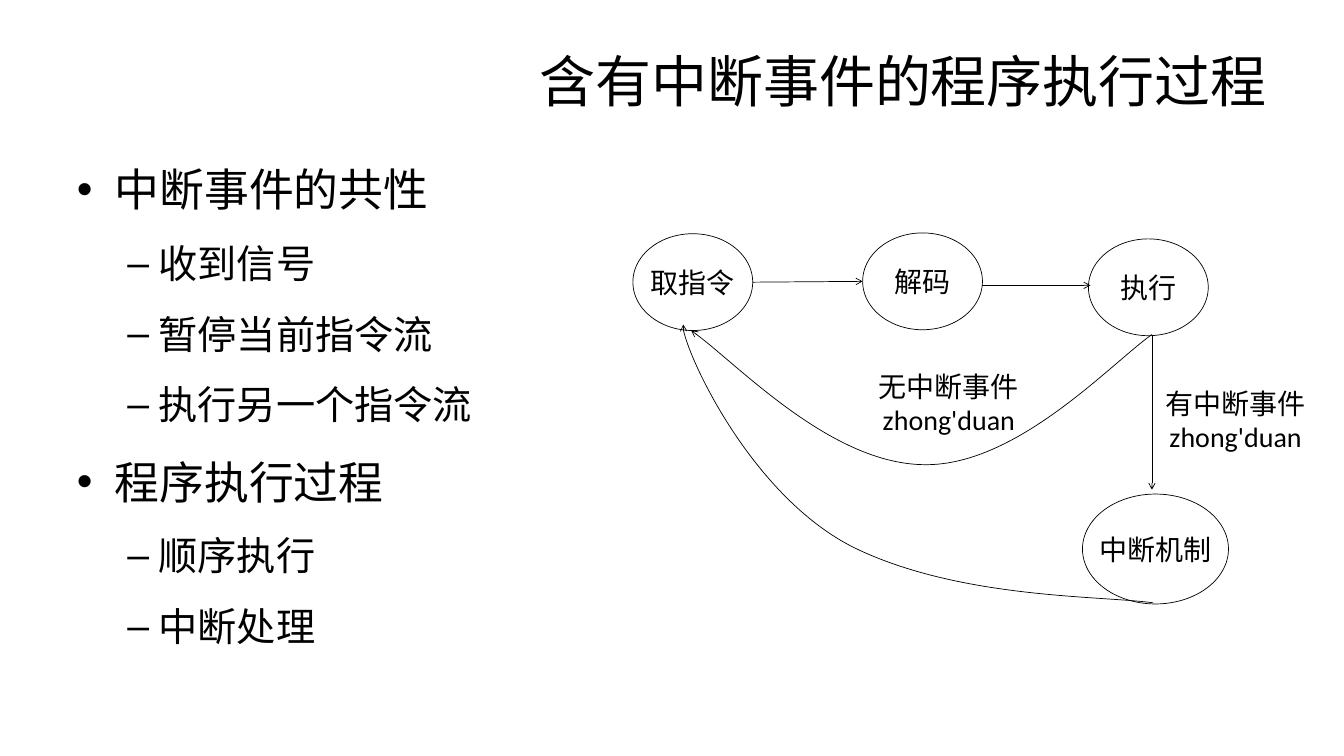
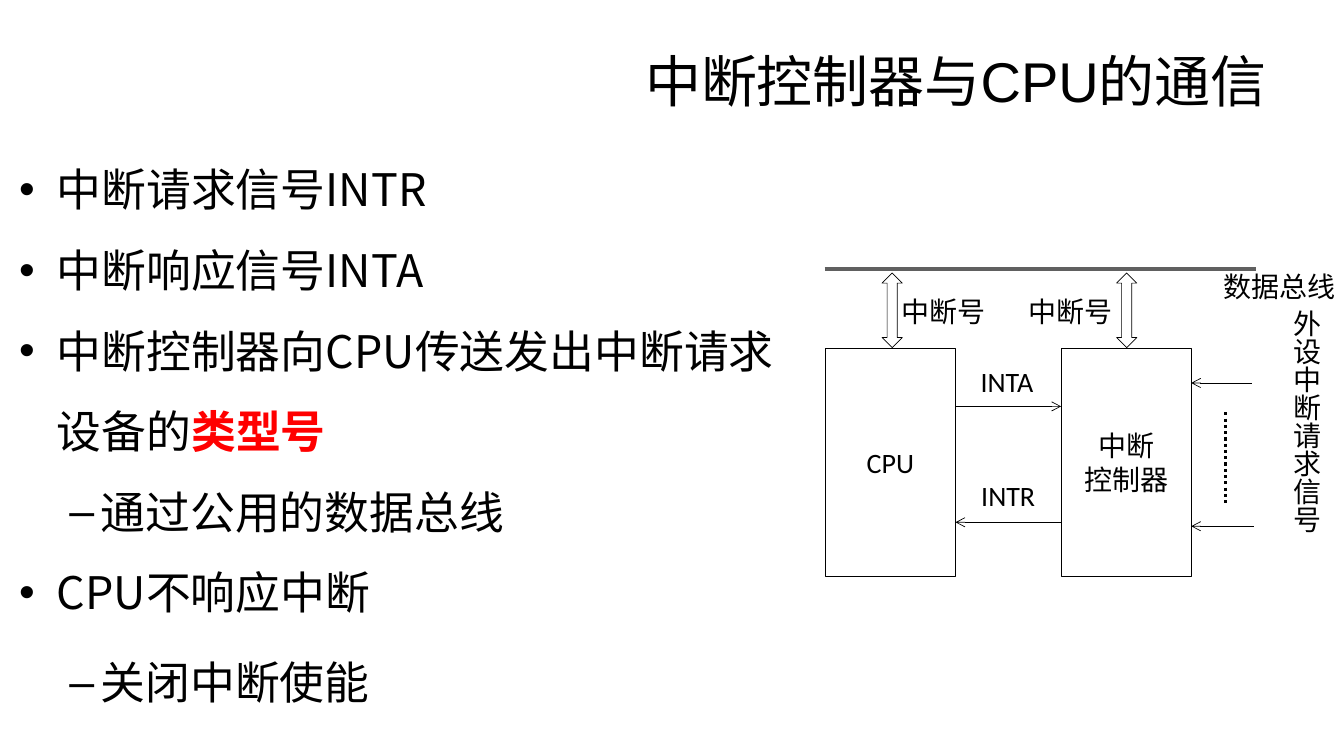
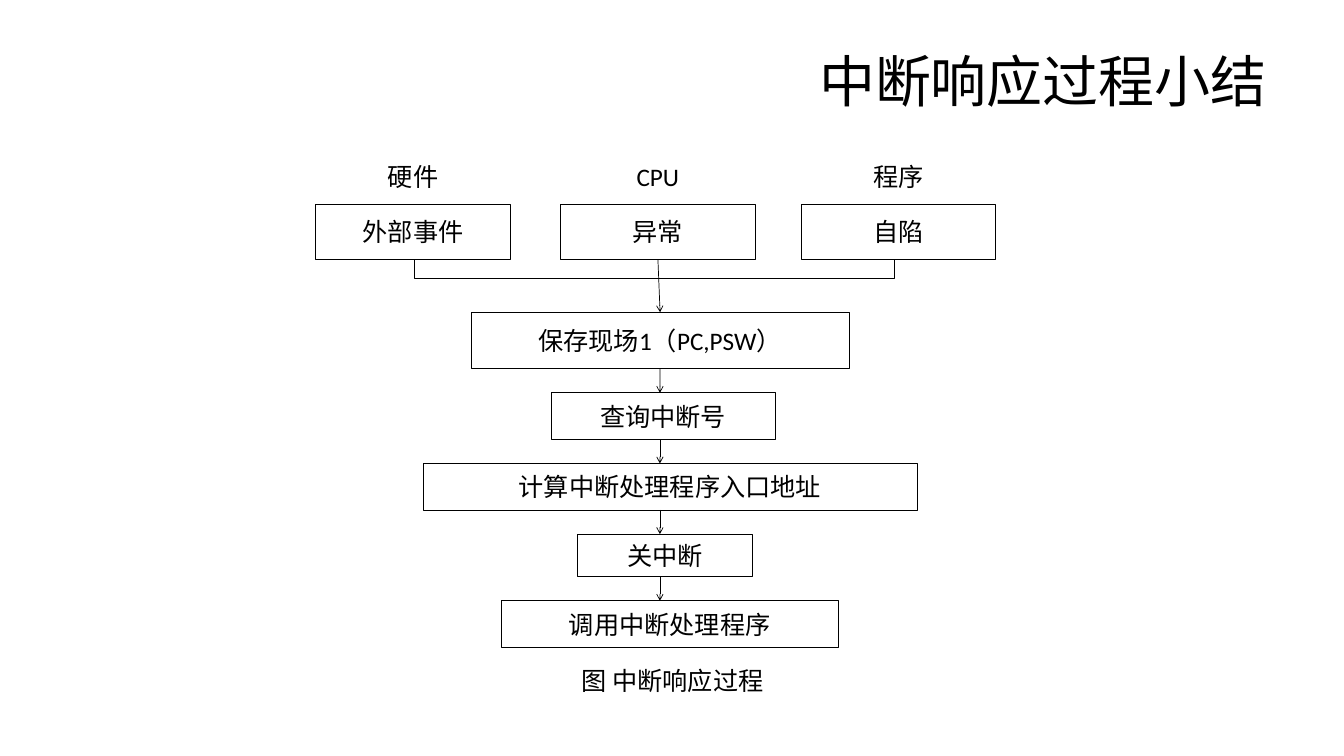
"""Build three slides on how a CPU handles interrupts."""
import lxml.etree
import pptx
import pptx.dml.color
import pptx.enum.dml
import pptx.enum.shapes
import pptx.enum.text
import pptx.oxml.ns
import pptx.util

Cm, Pt, qn = pptx.util.Cm, pptx.util.Pt, pptx.oxml.ns.qn
ALIGN = pptx.enum.text.PP_ALIGN
ANCHOR = pptx.enum.text.MSO_ANCHOR
SHAPE = pptx.enum.shapes.MSO_SHAPE
STRAIGHT = pptx.enum.shapes.MSO_CONNECTOR.STRAIGHT
DOTTED = pptx.enum.dml.MSO_LINE.ROUND_DOT

BLACK, WHITE, RED, BUS_GREY = "000000", "FFFFFF", "FF0000", "606060"
TITLE_FONT, BODY_FONT, LABEL_FONT = "Arial", "Noto Sans CJK SC", "Calibri"
TITLE_BOX = (1.69, 0.76, 30.48, 2.51)
BULLETS = (("•", 0.95, 0.95), ("–", 2.06, 0.79))

CYCLE_TITLE = "含有中断事件的程序执行过程"
CYCLE_BODY = [
    (0, 32, 0, ["中断事件的共性"]),
    (1, 28, 0, ["收到信号"]),
    (1, 28, 0, ["暂停当前指令流"]),
    (1, 28, 0, ["执行另一个指令流"]),
    (0, 32, 0, ["程序执行过程"]),
    (1, 28, 0, ["顺序执行"]),
    (1, 28, 0, ["中断处理"]),
]
CYCLE_STATES = [
    ("取指令", (15.95, 5.89, 3.02, 2.44)),
    ("解码", (21.74, 5.87, 3.02, 2.44)),
    ("执行", (27.43, 6.02, 3.02, 2.44)),
    ("中断机制", (27.28, 12.45, 3.68, 2.77)),
]
CYCLE_ARROWS = [
    (18.97, 7.11, 21.74, 7.09),
    (24.74, 7.19, 27.48, 7.19),
    (29.03, 8.43, 29.03, 12.34),
]
CYCLE_RETURNS = [
    [(29.03, 8.43), (27.99, 9.17), (25.63, 11.73), (23.32, 11.71),
     (20.98, 11.71), (18.49, 9.07), (17.42, 8.33)],
    [(29.06, 15.19), (27.71, 15.01), (24.31, 15.09), (21.67, 13.87),
     (19.05, 12.67), (17.09, 8.53), (17.22, 8.18)],
]
CYCLE_LABELS = [
    ("无中断事件zhong'duan", (21.77, 9.17, 4.29, 1.96)),
    ("有中断事件zhong'duan", (29.12, 9.6, 4.04, 1.96)),
]

SIGNAL_TITLE = "中断控制器与CPU的通信"
SIGNAL_BODY = [
    (0, 32, 0, ["中断请求信号INTR"]),
    (0, 32, 0, ["中断响应信号INTA"]),
    (0, 32, 0, ["中断控制器向CPU传送发出中断请求设备的", ("类型号", RED)]),
    (1, 32, 0, ["通过公用的数据总线"]),
    (0, 32, 0, ["CPU不响应中断"]),
    (1, 32, 6.4, ["关闭中断使能"]),
]
SIGNAL_UNITS = [("CPU", 20.8), ("中断\n控制器", 26.74)]
SIGNAL_BUS_LINKS = [22.23, 28.14]
SIGNAL_ARROWS = [
    (24.08, 10.24, 26.74, 10.24),
    (26.74, 13.16, 24.08, 13.16),
    (31.55, 9.65, 30.02, 9.65),
    (31.6, 13.26, 30.02, 13.26),
]
SIGNAL_LABELS = [
    ("INTR", (24.56, 11.96, 1.7, 1.04)),
    ("INTA", (24.49, 9.05, 1.78, 1.12)),
    ("中断号", (25.32, 6.93, 3.3, 1.85)),
    ("中断号", (22.12, 6.91, 3.3, 1.85)),
    ("数据总线", (30.63, 6.45, 3.25, 1.52)),
]
REQUEST_LABEL = ("外设中断请求信号", (32.23, 7.8, 1.37, 6.73))

STEPS_TITLE = "中断响应过程小结"
SOURCES = [("硬件", "外部事件", 7.96), ("CPU", "异常", 14.13), ("程序", "自陷", 20.19)]
STEPS = [
    ("保存现场1（PC,PSW）", 11.87, 9.53, 1.42),
    ("查询中断号", 13.89, 5.64, 1.17),
    ("计算中断处理程序入口地址", 10.66, 12.45, 1.17),
    ("关中断", 14.56, 4.39, 1.07),
    ("调用中断处理程序", 12.64, 8.48, 1.17),
]
STEP_TOP, STEP_GAP, STEP_AXIS = 7.87, 0.61, 16.63
BRACKET = [(10.44, 6.53), (10.44, 7.01), (22.53, 7.01), (22.53, 6.53)]
STEPS_CAPTION = ("图 中断响应过程", (10.17, 16.64, 13.56, 1.02))


def rgb(value):
    return pptx.dml.color.RGBColor.from_string(value)


def lengths(values):
    return [Cm(v) for v in values]


def sub(parent, tag, **attrs):
    return lxml.etree.SubElement(parent, qn(tag), attrs)


def write(p, text, size=20, font=LABEL_FONT, color=BLACK, bold=False):
    r = p.add_run()
    r.text = text
    r.font.size, r.font.bold, r.font.name = Pt(size), bold, font
    r.font.color.rgb = rgb(color)
    sub(r._r.get_or_add_rPr(), "a:ea", typeface=font)


def fill_frame(tf, text, align=ALIGN.CENTER, inset=0, **fmt):
    tf.word_wrap = True
    tf.auto_size = pptx.enum.text.MSO_AUTO_SIZE.NONE
    tf.vertical_anchor = ANCHOR.MIDDLE
    tf.margin_left = tf.margin_right = tf.margin_top = tf.margin_bottom = Cm(inset)
    for i, line in enumerate(text.split("\n")):
        p = tf.add_paragraph() if i else tf.paragraphs[0]
        p.alignment = align
        write(p, line, **fmt)


def add_label(s, text, box, **fmt):
    sp = s.shapes.add_textbox(*lengths(box))
    fill_frame(sp.text_frame, text, **fmt)
    return sp


def stroke(sp, color=BLACK, width=0.5, arrow=None):
    sp.line.color.rgb = rgb(color)
    sp.line.width = Pt(width)
    if arrow:
        sub(sp.line._get_or_add_ln(), "a:tailEnd", type="arrow", w=arrow, len=arrow)


def add_outline(s, kind, box, text="", fill=None, **fmt):
    sp = s.shapes.add_shape(kind, *lengths(box))
    sp.shadow.inherit = False
    if fill:
        sp.fill.solid()
        sp.fill.fore_color.rgb = rgb(fill)
    else:
        sp.fill.background()
    stroke(sp)
    if text:
        fill_frame(sp.text_frame, text, **fmt)
    return sp


def add_line(s, ends, dash=None, **style):
    sp = s.shapes.add_connector(STRAIGHT, *lengths(ends))
    stroke(sp, **style)
    if dash:
        sp.line.dash_style = dash
    sub(sp._element.spPr, "a:effectLst")
    return sp


def add_path(s, points, curved=False, arrow=None):
    first, *rest = [tuple(lengths(pt)) for pt in points]
    builder = s.shapes.build_freeform(*first)
    builder.add_line_segments(rest, close=False)
    sp = builder.convert_to_shape()
    sp.shadow.inherit = False
    sp.fill.background()
    stroke(sp, arrow=arrow)
    if curved:
        segments = list(sp._element.iter(qn("a:lnTo")))
        for i in range(0, len(segments), 3):
            curve = sub(segments[i].getparent(), "a:cubicBezTo")
            for segment in segments[i:i + 3]:
                curve.append(segment[0])
                segment.getparent().remove(segment)


def add_body(s, items, box):
    tf = s.shapes.add_textbox(*lengths(box)).text_frame
    tf.word_wrap = True
    for i, (level, size, before, parts) in enumerate(items):
        p = tf.add_paragraph() if i else tf.paragraphs[0]
        mark, margin, hang = BULLETS[level]
        pPr = p._p.get_or_add_pPr()
        pPr.set("marL", str(Cm(margin)))
        pPr.set("indent", str(-Cm(hang)))
        sub(pPr, "a:buFont", typeface="Arial")
        sub(pPr, "a:buChar", char=mark)
        p.level = level
        p.line_spacing = 1.5
        p.space_before = Pt(before)
        for part in parts:
            if isinstance(part, tuple):
                write(p, part[0], size=size, font=BODY_FONT, color=part[1], bold=True)
            else:
                write(p, part, size=size, font=BODY_FONT)


def new_slide(prs, title):
    s = prs.slides.add_slide(prs.slide_layouts[5])
    sp = s.shapes.title
    sp.left, sp.top, sp.width, sp.height = lengths(TITLE_BOX)
    fill_frame(sp.text_frame, title, align=ALIGN.RIGHT, inset=0.25, size=40, font=TITLE_FONT)
    return s


def build_cycle(prs):
    s = new_slide(prs, CYCLE_TITLE)
    add_body(s, CYCLE_BODY, (1.69, 3.28, 30.48, 13.74))
    for text, box in CYCLE_STATES:
        sp = add_outline(s, SHAPE.OVAL, box, text)
        sp.text_frame.word_wrap = False
    for ends in CYCLE_ARROWS:
        add_line(s, ends, arrow="sm")
    for points in CYCLE_RETURNS:
        add_path(s, points, curved=True, arrow="sm")
    for text, box in CYCLE_LABELS:
        add_label(s, text, box)


def build_signals(prs):
    s = new_slide(prs, SIGNAL_TITLE)
    add_body(s, SIGNAL_BODY, (0.23, 3.28, 20.45, 15.27))
    for text, left in SIGNAL_UNITS:
        add_outline(s, SHAPE.RECTANGLE, (left, 8.78, 3.28, 5.74), text, fill=WHITE)
    add_line(s, (20.78, 6.78, 31.65, 6.78), color=BUS_GREY, width=3.25)
    for left in SIGNAL_BUS_LINKS:
        add_outline(s, SHAPE.UP_DOWN_ARROW, (left, 6.88, 0.51, 1.88))
    for ends in SIGNAL_ARROWS:
        add_line(s, ends, arrow="med")
    add_line(s, (30.89, 10.39, 30.89, 12.67), width=2.25, dash=DOTTED)
    for text, box in SIGNAL_LABELS:
        add_label(s, text, box)
    sp = add_label(s, *REQUEST_LABEL, align=ALIGN.JUSTIFY)
    sp.text_frame._txBody.bodyPr.set("vert", "eaVert")


def build_steps(prs):
    s = new_slide(prs, STEPS_TITLE)
    events = []
    for origin, event, left in SOURCES:
        add_label(s, origin, (left, 3.94, 4.9, 1.02), size=18)
        events.append(add_outline(s, SHAPE.RECTANGLE, (left, 5.16, 4.9, 1.37), event, size=18))
    add_path(s, BRACKET)
    top, previous = STEP_TOP, None
    for i, (text, left, width, height) in enumerate(STEPS):
        sp = add_outline(s, SHAPE.RECTANGLE, (left, top, width, height), text, size=18)
        arrow = add_line(s, (STEP_AXIS, top - STEP_GAP, STEP_AXIS, top), arrow="sm")
        if i == 0:
            arrow.begin_connect(events[1], 2)
            arrow.end_connect(sp, 0)
        elif i == 1:
            arrow.begin_connect(previous, 2)
        top, previous = top + height + STEP_GAP, sp
    add_label(s, *STEPS_CAPTION, size=18)


def main():
    prs = pptx.Presentation()
    prs.slide_width, prs.slide_height = Cm(33.87), Cm(19.05)
    build_cycle(prs)
    build_signals(prs)
    build_steps(prs)
    prs.save("out.pptx")


if __name__ == "__main__":
    main()
